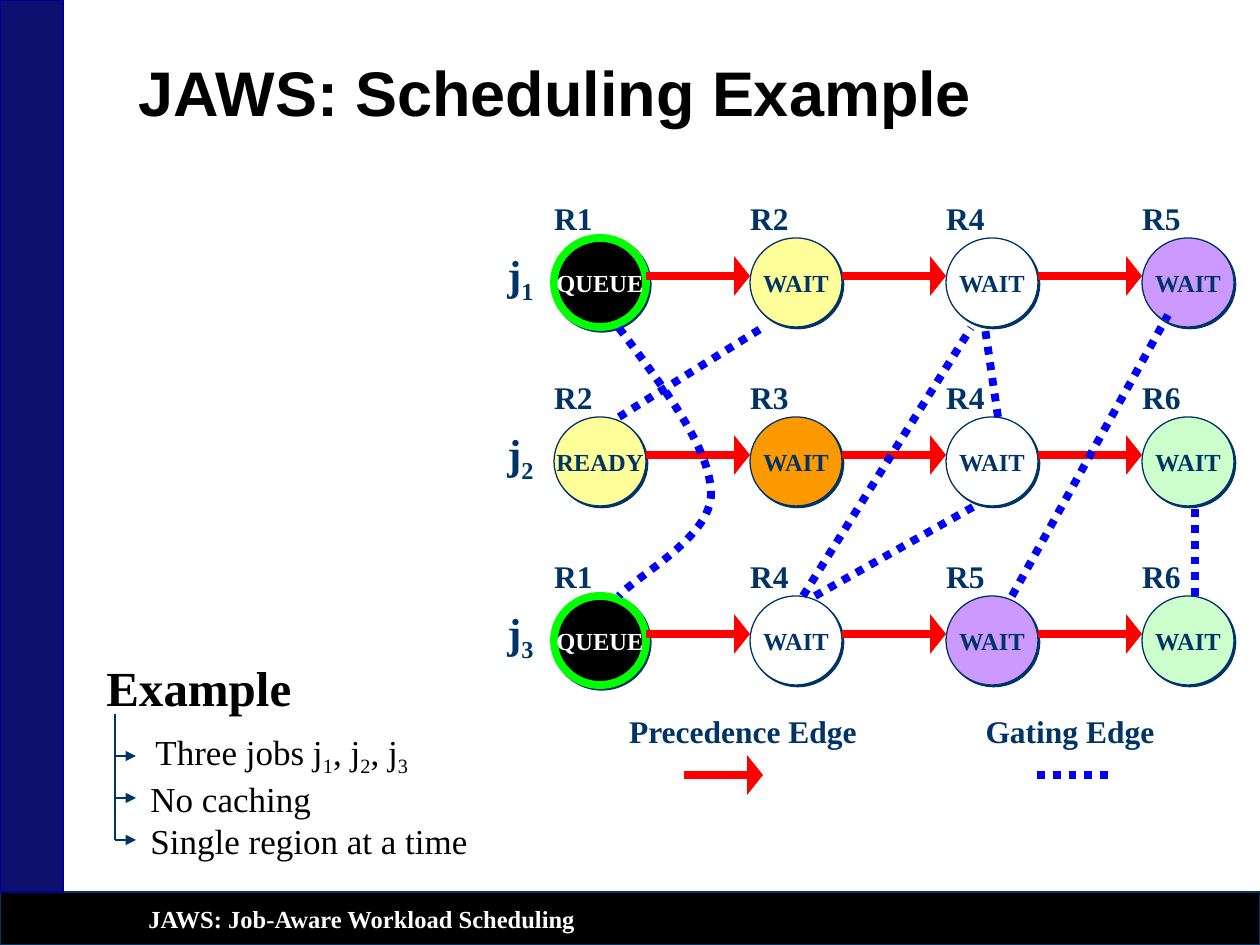
from pptx import Presentation
from pptx.dml.color import RGBColor
from pptx.enum.dml import MSO_LINE
from pptx.enum.shapes import MSO_CONNECTOR, MSO_SHAPE
from pptx.enum.text import MSO_ANCHOR, MSO_AUTO_SIZE, PP_ALIGN
from pptx.oxml.ns import qn
from pptx.util import Emu, Pt
from lxml.etree import SubElement

SCALE = 914400 / 126  # EMU per px
SERIF = "Times New Roman"
NAVY, BLACK, WHITE = "003366", "000000", "FFFFFF"
RED, BLUE, GREEN = "FF0000", "0000FF", "00FF00"

# Node grid
LEFT, TOP, COL_STEP, ROW_STEP = 554, 238, 196, 179
NODE_W, NODE_H = 92, 89
REGION_FILL = {"R1": BLACK, "R2": "FFFF99", "R3": "FF9900",
               "R4": WHITE, "R5": "CC99FF", "R6": "CCFFCC"}
JOBS = [
    [("R1", "QUEUE"), ("R2", "WAIT"), ("R4", "WAIT"), ("R5", "WAIT")],
    [("R2", "READY"), ("R3", "WAIT"), ("R4", "WAIT"), ("R6", "WAIT")],
    [("R1", "QUEUE"), ("R4", "WAIT"), ("R5", "WAIT"), ("R6", "WAIT")],
]
GATING_EDGES = [
    (619, 417, 762, 328), (998, 417, 985, 328), (1012, 596, 1168, 315),
    (803, 596, 971, 328), (815, 596, 973, 507), (1195, 596, 1195, 507),
]
GATING_CURVE = [(619, 328), (664, 388), (711, 449), (711, 494),
                (711, 538), (633, 578), (619, 596)]


def px(n):
    return Emu(round(n * SCALE))


def rgb(color):
    return RGBColor.from_string(color)


def add_text(p, text, size, color, bold=True, font=SERIF):
    """Add runs to p; the character after each underscore is a subscript."""
    first, *rest = text.split("_")
    pieces = [(first, False)]
    for part in rest:
        pieces += [(part[0], True), (part[1:], False)]
    for piece, subscript in pieces:
        if not piece:
            continue
        r = p.add_run()
        r.text = piece
        r.font.name, r.font.size, r.font.bold = font, Pt(size), bold
        r.font.color.rgb = rgb(color)
        if subscript:
            r._r.get_or_add_rPr().set("baseline", "-25000")


def center_text(sp, text, size, color):
    tf = sp.text_frame
    tf.word_wrap = False
    tf.vertical_anchor = MSO_ANCHOR.MIDDLE
    p = tf.paragraphs[0]
    p.alignment = PP_ALIGN.CENTER
    add_text(p, text, size, color)


def add_box(s, x, y, w, h, fill, line, kind=MSO_SHAPE.RECTANGLE, weight=0.75):
    sp = s.shapes.add_shape(kind, px(x), px(y), px(w), px(h))
    sp.fill.solid()
    sp.fill.fore_color.rgb = rgb(fill)
    sp.line.color.rgb = rgb(line)
    sp.line.width = Pt(weight)
    sp.shadow.inherit = False
    return sp


def add_label(s, x, y, w, h, text):
    """A bare rectangle keeps its text on one line even when it is narrow."""
    sp = s.shapes.add_shape(MSO_SHAPE.RECTANGLE, px(x), px(y), px(w), px(h))
    sp.fill.background()
    sp.line.fill.background()
    sp.shadow.inherit = False
    center_text(sp, text, 18, NAVY)


def add_node(s, x, y, region, state):
    queued = state == "QUEUE"
    sp = add_box(s, x, y, NODE_W, NODE_H, REGION_FILL[region],
                 GREEN if queued else NAVY, MSO_SHAPE.OVAL, 4.5 if queued else 0.75)
    effects = sp._element.spPr.find(qn("a:effectLst"))
    shadow = SubElement(effects, qn("a:outerShdw"), dist="17780", dir="2700000",
                        algn="ctr", rotWithShape="0")
    SubElement(shadow, qn("a:srgbClr"), val=NAVY)
    center_text(sp, state, 14, WHITE if queued else NAVY)


def add_line(s, x1, y1, x2, y2, color, weight, dotted=False, head=None):
    """head is the (width, length) of an arrowhead at the far end."""
    c = s.shapes.add_connector(MSO_CONNECTOR.STRAIGHT, px(x1), px(y1), px(x2), px(y2))
    c.line.color.rgb = rgb(color)
    c.line.width = Pt(weight)
    if dotted:
        c.line.dash_style = MSO_LINE.ROUND_DOT
    if head:
        SubElement(c.line._get_or_add_ln(), qn("a:tailEnd"),
                   type="triangle", w=head[0], len=head[1])
    SubElement(c._element.spPr, qn("a:effectLst"))


def add_precedence_edge(s, x1, x2, y):
    add_line(s, x1, y, x2, y, RED, 4.5, head=("lg", "sm"))


def add_gating_edge(s, *ends):
    add_line(s, *ends, BLUE, 4.5, dotted=True)


def add_gating_curve(s, points):
    builder = s.shapes.build_freeform(*points[0], scale=SCALE)
    builder.add_line_segments(points[1:], close=False)
    sp = builder.convert_to_shape()
    sp.fill.background()
    sp.line.color.rgb = rgb(BLUE)
    sp.line.width = Pt(4.5)
    sp.line.dash_style = MSO_LINE.ROUND_DOT
    sp.shadow.inherit = False
    # Every three points become one Bézier segment
    outline = next(sp._element.iter(qn("a:path")))
    segments = outline.findall(qn("a:lnTo"))
    for i in range(0, len(segments), 3):
        bezier = SubElement(outline, qn("a:cubicBezTo"))
        for segment in segments[i:i + 3]:
            bezier.append(segment[0])
            outline.remove(segment)


def add_title(s, text):
    sp = s.shapes.title
    sp.left, sp.top, sp.width, sp.height = px(126), px(42), px(1102), px(94)
    tf = sp.text_frame
    tf.auto_size = MSO_AUTO_SIZE.NONE
    tf.vertical_anchor = MSO_ANCHOR.BOTTOM
    p = tf.paragraphs[0]
    p.alignment = PP_ALIGN.LEFT
    p.line_spacing = 0.9
    add_text(p, text, 36, BLACK, font="Arial")


def add_footer(s, text):
    tf = s.shapes.add_textbox(px(136), px(898), px(850), px(43)).text_frame
    tf.word_wrap = True
    add_text(tf.paragraphs[0], text, 14, WHITE)


def add_example(s):
    tf = s.shapes.add_textbox(px(94), px(651), px(400), px(218)).text_frame
    tf.word_wrap = True
    add_text(tf.paragraphs[0], "Example", 28, BLACK)
    items = [("Three jobs j_1, j_2, j_3", 49, 8), ("No caching", 44, 0),
             ("Single region at a time", 44, 0)]
    for text, indent, before in items:
        p = tf.add_paragraph()
        p._p.get_or_add_pPr().set("marL", str(px(indent)))
        p.space_before = Pt(before)
        add_text(p, text, 20, BLACK, bold=False)
    # Tree lines leading to the items
    add_line(s, 115, 714, 115, 840, NAVY, 0.75)
    for y in range(756, 841, 42):
        add_line(s, 115, y, 136, y, NAVY, 0.75, head=("med", "med"))


def add_jobs(s):
    for row, job in enumerate(JOBS):
        y = TOP + row * ROW_STEP
        name = add_box(s, 462, y + 13, 117, 52, WHITE, WHITE)
        center_text(name, f"j_{row + 1}", 24, NAVY)
        for col, (region, state) in enumerate(job):
            x = LEFT + col * COL_STEP
            add_node(s, x, y, region, state)
            add_label(s, x, y - 39, 39, 38, region)
        for col in range(len(job) - 1):
            x = LEFT + col * COL_STEP
            add_precedence_edge(s, x + NODE_W, x + COL_STEP, y + 38)


def add_legend(s):
    add_label(s, 632, 673, 222, 115, "Precedence Edge")
    add_precedence_edge(s, 684, 763, 775)
    add_label(s, 959, 673, 222, 115, "Gating Edge")
    add_gating_edge(s, 1037, 775, 1113, 775)


def main():
    prs = Presentation()
    prs.slide_width, prs.slide_height = px(1260), px(945)
    s = prs.slides.add_slide(prs.slide_layouts[5])

    # Frame and headings
    add_box(s, 0, 892, 1260, 53, BLACK, NAVY)
    add_box(s, 0, 0, 63, 892, "0E0F6E", "000099")
    add_footer(s, "JAWS: Job-Aware Workload Scheduling")
    add_title(s, "JAWS: Scheduling Example")

    # Job graph
    add_jobs(s)
    for edge in GATING_EDGES:
        add_gating_edge(s, *edge)
    add_gating_curve(s, GATING_CURVE)
    add_legend(s)

    add_example(s)
    prs.save("out.pptx")


if __name__ == "__main__":
    main()
